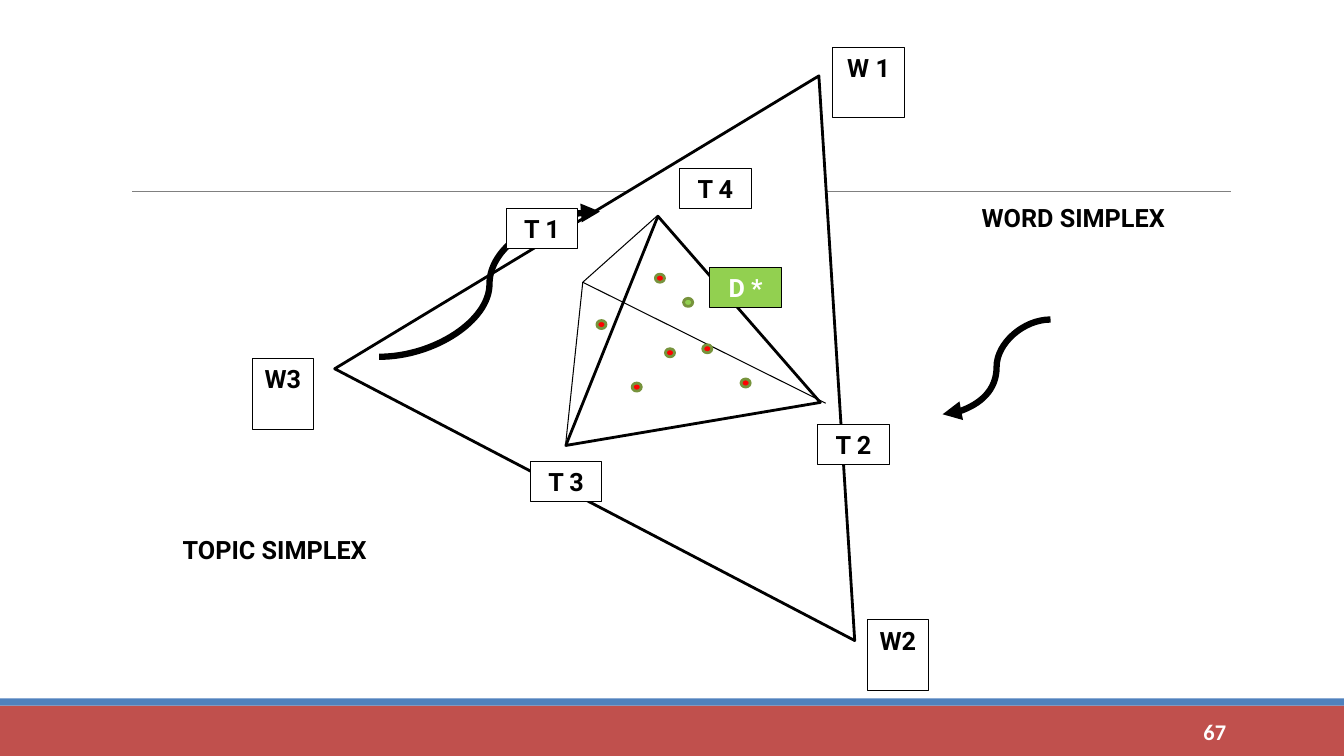
from lxml import etree
from pptx import Presentation
from pptx.dml.color import RGBColor
from pptx.enum.shapes import MSO_CONNECTOR as CONN, MSO_SHAPE as SHAPE
from pptx.enum.text import MSO_ANCHOR as ANCHOR, PP_ALIGN as ALIGN
from pptx.oxml.ns import qn
from pptx.util import Inches, Pt

BLACK, WHITE, RED, LIME, OLIVE = "000000", "FFFFFF", "FF0000", "92D050", "77933C"


def rgb(value):
    return RGBColor.from_string(value)


def put(text="", at=(0, 0, 1, 1), kind=SHAPE.RECTANGLE, fill=WHITE, line=None,
        width=0.75, rotation=0, font="Roboto", size=18, color=BLACK,
        align=ALIGN.CENTER, anchor=ANCHOR.TOP):
    sp = s.shapes.add_shape(kind, *map(Inches, at))
    sp.shadow.inherit = False
    sp.rotation = rotation
    if fill:
        sp.fill.solid()
        sp.fill.fore_color.rgb = rgb(fill)
    else:
        sp.fill.background()
    if line:
        sp.line.color.rgb = rgb(line)
        sp.line.width = Pt(width)
    else:
        sp.line.fill.background()
    if text:
        tf = sp.text_frame
        tf.word_wrap = True
        tf.vertical_anchor = anchor
        p = tf.paragraphs[0]
        p.alignment = align
        r = p.add_run()
        r.text = text
        r.font.name, r.font.size, r.font.bold = font, Pt(size), True
        r.font.color.rgb = rgb(color)


def connect(start, end, color=BLACK, width=0.75, kind=CONN.STRAIGHT, arrow=False):
    c = s.shapes.add_connector(kind, *map(Inches, start + end))
    c.line.color.rgb = rgb(color)
    c.line.width = Pt(width)
    if arrow:
        etree.SubElement(c.line._get_or_add_ln(), qn("a:tailEnd"), type="triangle")
    etree.SubElement(c._element.spPr, qn("a:effectLst"))


prs = Presentation()
prs.slide_width, prs.slide_height = Inches(13.33), Inches(7.5)
s = prs.slides.add_slide(prs.slide_layouts[6])

# Title rule, footer bands and slide number
connect((1.31, 1.9), (12.21, 1.9), color="808080", width=0.5)
put(at=(0, 7, 13.33, 0.5), fill="C0504D")
put(at=(0, 6.93, 13.33, 0.07), fill="4F81BD")
put("67", at=(10.83, 7.06, 1.43, 0.4), fill=None, font="Calibri", size=16,
    color=WHITE, align=ALIGN.RIGHT, anchor=ANCHOR.MIDDLE)

# Word simplex with its corners
put(at=(4.1, 0.48, 5.82, 4.8), kind=SHAPE.ISOSCELES_TRIANGLE, line=BLACK,
    width=2, rotation=27.6)
for text, x, y, w in [("W 1", 8.26, 0.47, 0.71), ("W2", 8.6, 6.15, 0.61),
                      ("W3", 2.5, 3.56, 0.61)]:
    put(text, at=(x, y, w, 0.7), line=BLACK)

# Front face of the topic simplex
put(at=(5.42, 2.13, 2.56, 2.09), kind=SHAPE.ISOSCELES_TRIANGLE, line=BLACK,
    width=2, rotation=350.4)

# Captions and curved arrows
for text, x, y in [("WORD SIMPLEX", 9.5, 1.96), ("TOPIC SIMPLEX", 1.58, 5.25)]:
    put(text, at=(x, y, 2.29, 0.7))
for start, end in [((10.42, 3.17), (9.35, 4.11)), ((3.76, 3.54), (5.95, 2.1))]:
    connect(start, end, width=4.5, kind=CONN.CURVE, arrow=True)

# Back edges of the topic simplex, meeting at its fourth corner
for corner in [(5.61, 4.41), (8.19, 4), (6.52, 2.14)]:
    connect(corner, (5.78, 2.8))

# Topic and document labels
for text, x, y, fill, color in [
        ("T 1", 5.02, 2.07, WHITE, BLACK), ("T 2", 8.11, 4.21, WHITE, BLACK),
        ("T 3", 5.26, 4.58, WHITE, BLACK), ("T 4", 6.74, 1.67, WHITE, BLACK),
        ("D *", 7.04, 2.65, LIME, WHITE)]:
    put(text, at=(x, y, 0.71, 0.4), fill=fill, line=BLACK, color=color)

# Document points
for x, y, fill in [(6.6, 3.46, RED), (6.97, 3.42, RED), (7.35, 3.76, RED),
                   (6.5, 2.72, RED), (5.92, 3.18, RED), (6.27, 3.8, RED),
                   (6.78, 2.96, LIME)]:
    put(at=(x, y, 0.09, 0.08), kind=SHAPE.OVAL, fill=fill, line=OLIVE, width=2)

prs.save("out.pptx")
